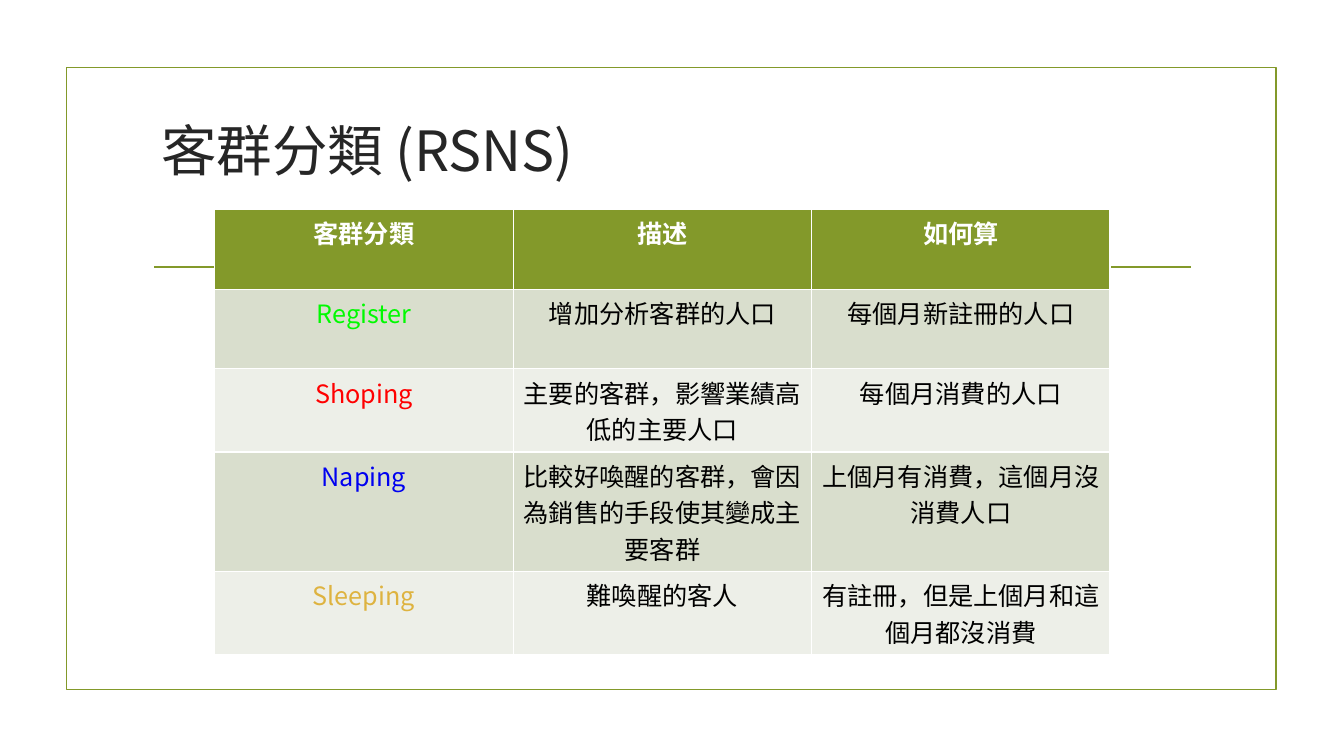
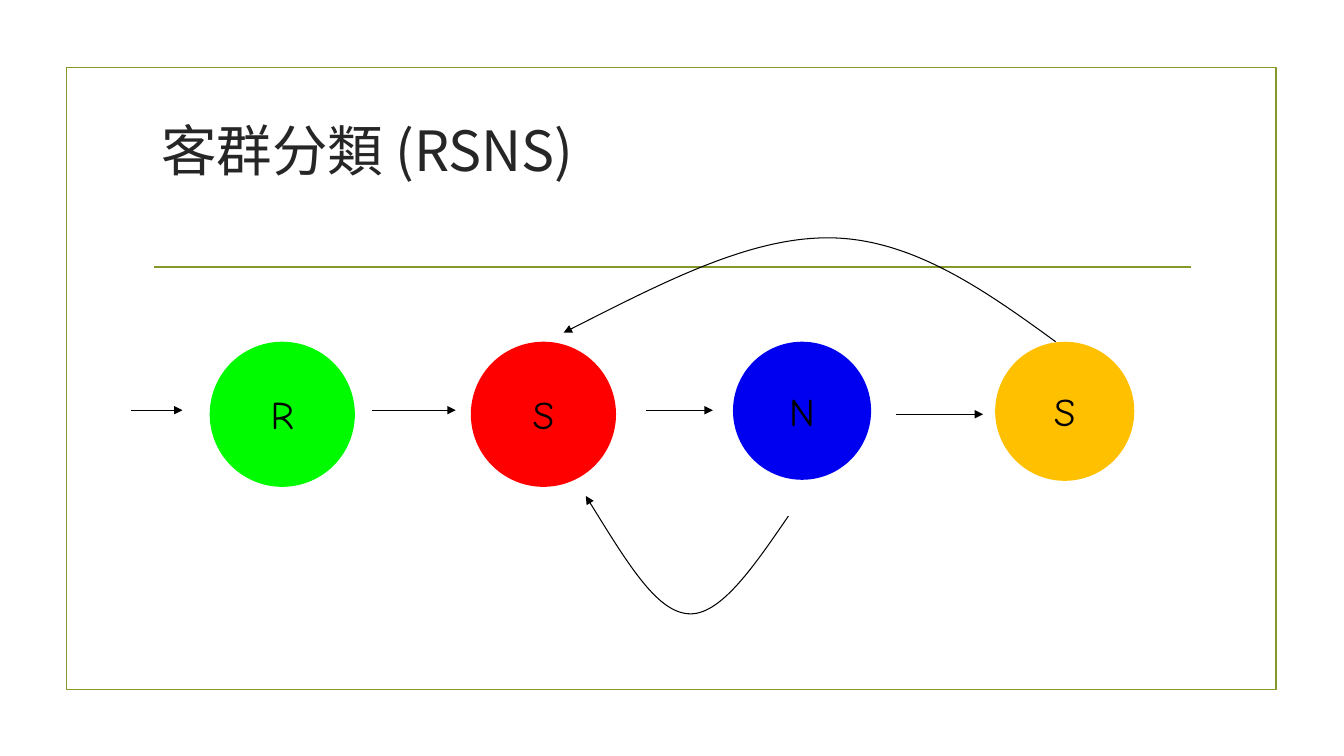
"""Build two slides on customer segments: a table and a flow of states."""
from dataclasses import dataclass

from lxml import etree
from pptx import Presentation
from pptx import util as u
from pptx.dml.color import RGBColor
from pptx.enum import shapes, text
from pptx.oxml.ns import qn


@dataclass(frozen=True)
class Theme:
    """Colours, fonts and type sizes of the deck."""
    accent: str = "83992A"
    title: str = "262626"
    ink: str = "000000"
    paper: str = "FFFFFF"
    bands: tuple = ("D9DECD", "EDEFE8")
    register: str = "00FA00"
    shopping: str = "FF0000"
    napping: str = "0000F0"
    sleeping: str = "FFC000"
    sleeping_text: str = "DEB340"
    font: str = "Noto Sans CJK SC"
    label_font: str = "Comic Neue"
    title_size: float = 39.6
    table_size: float = 18
    label_size: float = 28
    rule: float = 1.25
    arrow: float = 0.75


THEME = Theme()
TITLE = "客群分類 (RSNS)"
HEADERS = ("客群分類", "描述", "如何算")
SEGMENTS = (
    ("Register", THEME.register, "增加分析客群的人口", "每個月新註冊的人口"),
    ("Shoping", THEME.shopping, "主要的客群，影響業績高低的主要人口", "每個月消費的人口"),
    ("Naping", THEME.napping, "比較好喚醒的客群，會因為銷售的手段使其變成主要客群",
     "上個月有消費，這個月沒消費人口"),
    ("Sleeping", THEME.sleeping_text, "難喚醒的客人", "有註冊，但是上個月和這個月都沒消費"),
)
ROW_HEIGHTS = (0.79, 0.79, 0.79, 1.11, 0.79)
STATES = (
    ("R", THEME.register, 2.08, 1.44),
    ("S", THEME.shopping, 4.67, 1.44),
    ("N", THEME.napping, 7.27, 1.37),
    ("S", THEME.sleeping, 9.87, 1.38),
)
ARROWS = ((1.3, 1.81, 4.07), (3.69, 4.52, 4.07), (6.41, 7.07, 4.07), (8.89, 9.75, 4.11))
RETURNS = (
    ((10.47, 3.39), (9.77, 2.88), (9.06, 2.38), (8.26, 2.36),
     (7.46, 2.34), (6.56, 2.81), (5.59, 3.3)),
    ((7.82, 5.12), (7.49, 5.6), (7.16, 6.09), (6.85, 6.09),
     (6.53, 6.09), (6.23, 5.6), (5.81, 4.92)),
)


def inches(*values):
    """Turn numbers into lengths."""
    return [u.Inches(value) for value in values]


def style_text(paragraph, size, color, font=THEME.font, bold=False):
    """Set the font of a whole paragraph, for Latin and Asian text."""
    paragraph.font.size = u.Pt(size)
    paragraph.font.bold = bold
    paragraph.font.color.rgb = RGBColor.from_string(color)
    paragraph.font.name = font
    etree.SubElement(paragraph.font._element, qn("a:ea"), typeface=font)


def style_line(shape, color, width, arrow=False):
    """Set a plain line without shadow, with an arrowhead if asked."""
    shape.line.color.rgb = RGBColor.from_string(color)
    shape.line.width = u.Pt(width)
    if arrow:
        etree.SubElement(shape.line._get_or_add_ln(), qn("a:tailEnd"), type="triangle")
    if isinstance(shape.element.tag, str) and shape.element.tag == qn("p:cxnSp"):
        etree.SubElement(shape.element.spPr, qn("a:effectLst"))
    else:
        shape.shadow.inherit = False


def add_line(slide, start, end, color, width, arrow=False):
    """Draw a straight connector."""
    line = slide.shapes.add_connector(
        shapes.MSO_CONNECTOR.STRAIGHT, *inches(*start, *end))
    style_line(line, color, width, arrow)
    return line


def add_curve(slide, points):
    """Draw an arrow along Bezier arcs, given as a start and triples of points."""
    start, *rest = [inches(*point) for point in points]
    builder = slide.shapes.build_freeform(*start)
    builder.add_line_segments(rest, close=False)
    shape = builder.convert_to_shape()
    segments = list(shape.element.iter(qn("a:lnTo")))
    for first in range(0, len(segments), 3):
        arc = etree.Element(qn("a:cubicBezTo"))
        segments[first].addprevious(arc)
        for segment in segments[first:first + 3]:
            arc.append(segment[0])
            segment.getparent().remove(segment)
    shape.fill.background()
    style_line(shape, THEME.ink, THEME.arrow, arrow=True)


def add_state(slide, letter, color, left, size):
    """Draw a coloured circle with its letter."""
    circle = slide.shapes.add_shape(
        shapes.MSO_SHAPE.OVAL, *inches(left, 3.39, size, size))
    circle.fill.solid()
    circle.fill.fore_color.rgb = RGBColor.from_string(color)
    circle.line.fill.background()
    circle.shadow.inherit = False
    circle.text_frame.text = letter
    circle.text_frame.vertical_anchor = text.MSO_ANCHOR.MIDDLE
    paragraph = circle.text_frame.paragraphs[0]
    paragraph.alignment = text.PP_ALIGN.CENTER
    style_text(paragraph, THEME.label_size, THEME.ink, THEME.label_font)


def fill_cell(cell, content, fill, color, bold=False):
    """Write one centred table cell."""
    cell.fill.solid()
    cell.fill.fore_color.rgb = RGBColor.from_string(fill)
    cell.text = content
    paragraph = cell.text_frame.paragraphs[0]
    paragraph.alignment = text.PP_ALIGN.CENTER
    style_text(paragraph, THEME.table_size, color, bold=bold)


def add_segment_table(slide):
    """Draw the table of customer segments."""
    table = slide.shapes.add_table(
        len(ROW_HEIGHTS), len(HEADERS),
        *inches(2.13, 2.08, 8.88, sum(ROW_HEIGHTS))).table
    for row, height in zip(table.rows, ROW_HEIGHTS):
        row.height = u.Inches(height)
    for column, header in enumerate(HEADERS):
        fill_cell(table.cell(0, column), header, THEME.accent, THEME.paper, bold=True)
    for index, (name, color, *details) in enumerate(SEGMENTS):
        band = THEME.bands[index % 2]
        fill_cell(table.cell(index + 1, 0), name, band, color)
        for column, detail in enumerate(details, 1):
            fill_cell(table.cell(index + 1, column), detail, band, THEME.ink)


def prepare_layout(layout, slide):
    """Give the layout its title place, frame and rule, drawn by way of a slide."""
    for placeholder in list(layout.placeholders):
        if placeholder.placeholder_format.idx != 0:
            layout.shapes.element.remove(placeholder.element)
            continue
        (placeholder.left, placeholder.top,
         placeholder.width, placeholder.height) = inches(1.5, 1.15, 10.5, 1.43)
    frame = slide.shapes.add_shape(
        shapes.MSO_SHAPE.RECTANGLE, *inches(0.66, 0.67, 12, 6.17))
    frame.fill.background()
    style_line(frame, THEME.accent, THEME.rule)
    rule = add_line(slide, (1.53, 2.65), (11.81, 2.65), THEME.accent, THEME.rule)
    for shape in (rule, frame):
        layout.shapes.element.insert(2, shape.element)


def set_title(slide):
    """Write the slide title."""
    frame = slide.shapes.title.text_frame
    frame.text = TITLE
    frame.vertical_anchor = text.MSO_ANCHOR.TOP
    frame.margin_top = 0
    frame.paragraphs[0].alignment = text.PP_ALIGN.LEFT
    style_text(frame.paragraphs[0], THEME.title_size, THEME.title)


def main():
    """Build and save the presentation."""
    presentation = Presentation()
    presentation.slide_width, presentation.slide_height = inches(13.33, 7.5)
    layout = presentation.slide_layouts[5]
    table_slide, flow_slide = [presentation.slides.add_slide(layout) for _ in range(2)]
    prepare_layout(layout, table_slide)
    for slide in (table_slide, flow_slide):
        set_title(slide)
    add_segment_table(table_slide)
    for state in STATES:
        add_state(flow_slide, *state)
    for left, right, height in ARROWS:
        add_line(flow_slide, (left, height), (right, height), THEME.ink, THEME.arrow, arrow=True)
    for points in RETURNS:
        add_curve(flow_slide, points)
    presentation.save("out.pptx")


if __name__ == "__main__":
    main()
